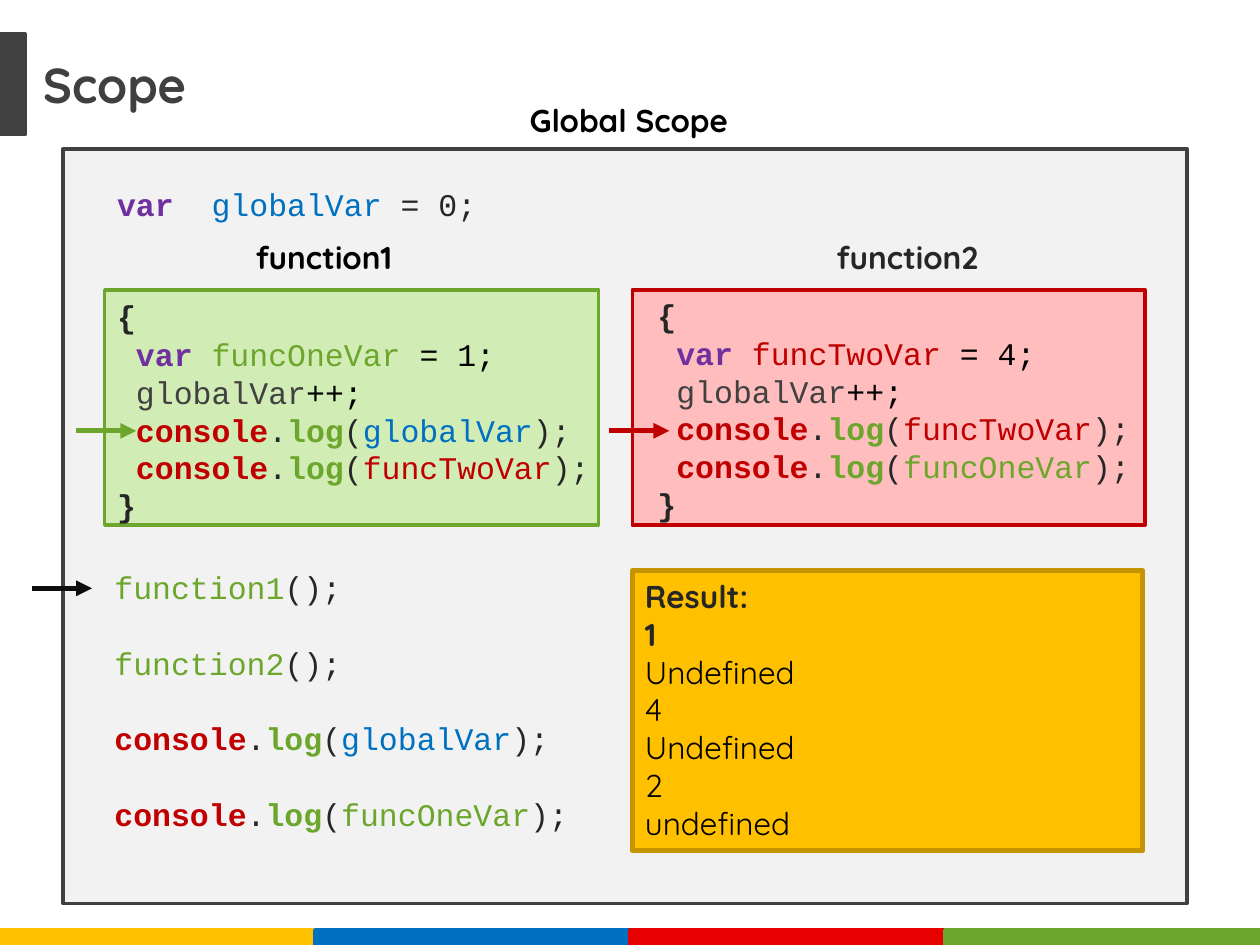
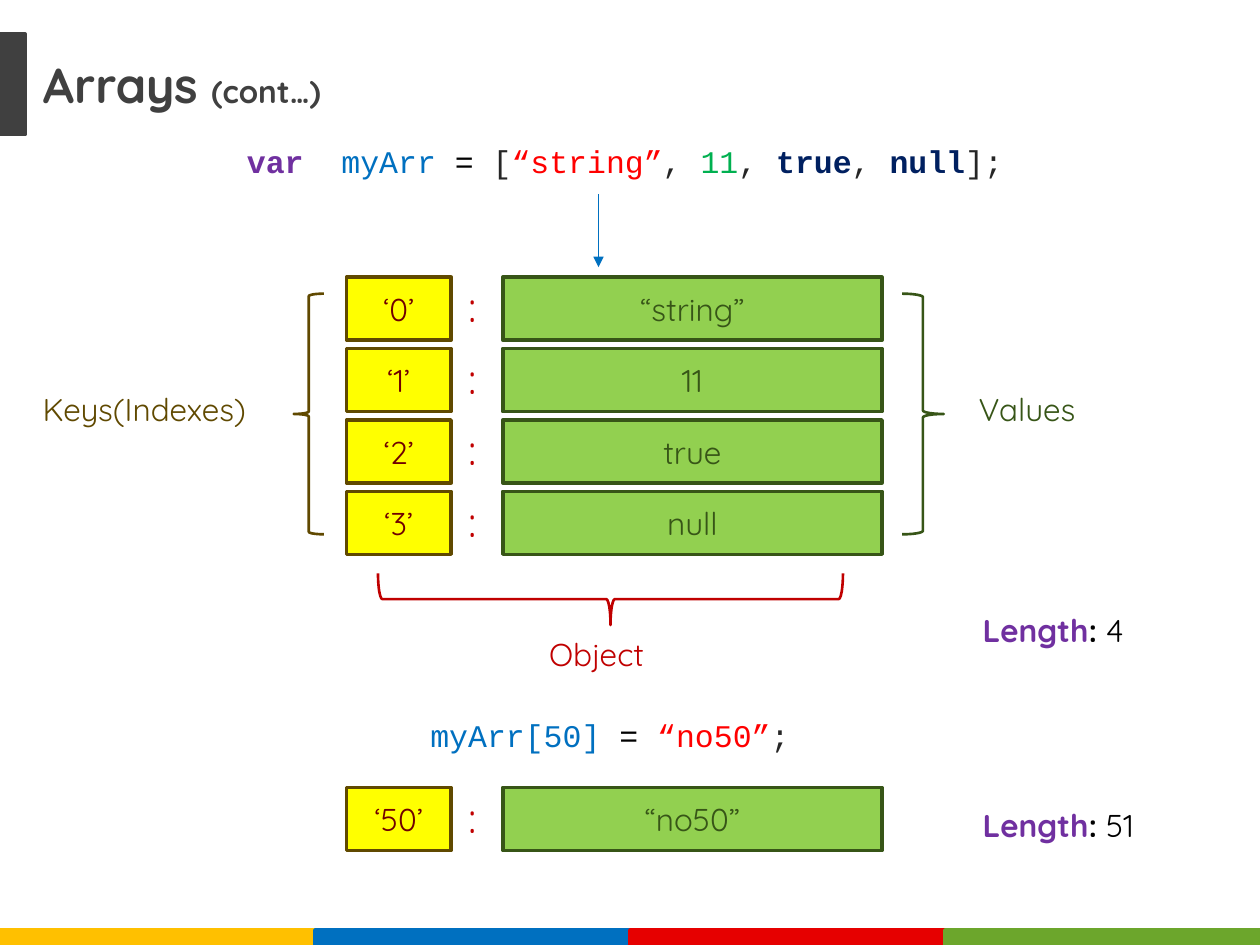
from lxml import etree
from pptx import Presentation
from pptx.dml.color import RGBColor
from pptx.enum.shapes import MSO_CONNECTOR, MSO_SHAPE
from pptx.enum.text import MSO_ANCHOR, PP_ALIGN
from pptx.oxml.ns import qn
from pptx.util import Pt

LEFT, CENTER = PP_ALIGN.LEFT, PP_ALIGN.CENTER
TOP, MIDDLE = MSO_ANCHOR.TOP, MSO_ANCHOR.MIDDLE
RECTANGLE = MSO_SHAPE.RECTANGLE
LEFT_BRACE, RIGHT_BRACE = MSO_SHAPE.LEFT_BRACE, MSO_SHAPE.RIGHT_BRACE
STRAIGHT = MSO_CONNECTOR.STRAIGHT

COLORS = {
    "black": "000000", "ink": "262626", "arrow": "0D0D0D", "gray": "404040",
    "panel": "F2F2F2", "gold": "FFC000", "dark gold": "C49500",
    "blue": "0070C0", "band red": "E60000", "green": "6CA62C",
    "pale green": "D2ECB6", "crimson": "C00000", "pink": "FFBDBD",
    "purple": "7030A0", "red": "FF0000", "emerald": "00B050",
    "navy": "002060", "yellow": "FFFF00", "brown": "604900",
    "maroon": "700000", "lime": "92D050", "forest": "375517",
}
BODY, CODE = "Quicksand", "Courier New"
BANDS = ["gold", "blue", "band red", "green"]
LINE_PITCH = 21.6


class Deck:
    def __init__(self):
        self.deck = Presentation()
        self.deck.slide_width, self.deck.slide_height = Pt(720), Pt(540)
        self.page = None

    def color(self, name):
        return RGBColor.from_string(COLORS[name])

    def new_page(self, *title):
        self.page = self.deck.slides.add_slide(self.deck.slide_layouts[5])
        box = self.page.shapes.title
        place = {"left": 17.3, "top": 27.4, "width": 280, "height": 41}
        for name, value in place.items():
            setattr(box, name, Pt(value))
        self.fill_text(box, [title], size=28)
        for index, name in enumerate(BANDS):
            self.shape((index * 180, 531.4, 180, 8.6), name, name)
        self.shape((0, 19.4, 14.4, 57.6), "gray", "gray")

    def fill_text(self, box, lines, font=BODY, size=18, align=LEFT,
                  anchor=TOP, pitch=None, gap=0):
        frame = box.text_frame
        frame.word_wrap = True
        frame.vertical_anchor = anchor
        for index, line in enumerate(lines):
            para = frame.paragraphs[0] if index == 0 else frame.add_paragraph()
            layout = {"alignment": align, "space_before": Pt(0),
                      "space_after": Pt(gap)}
            if pitch:
                layout["line_spacing"] = Pt(pitch)
            for name, value in layout.items():
                setattr(para, name, value)
            for text, color, bold, *own_size in line:
                span = para.add_run()
                span.text = text
                values = {"name": font, "bold": bold,
                          "size": Pt(own_size[0] if own_size else size)}
                for name, value in values.items():
                    setattr(span.font, name, value)
                span.font.color.rgb = self.color(color)

    def text(self, place, *lines, **style):
        box = self.page.shapes.add_textbox(*map(Pt, place))
        self.fill_text(box, lines, **style)

    def code(self, place, *lines, **style):
        self.text(place, *lines, font=CODE, pitch=LINE_PITCH, **style)

    def shape(self, place, fill, line, width=2, kind=RECTANGLE, turn=0):
        box = self.page.shapes.add_shape(kind, *map(Pt, place))
        box.shadow.inherit = False
        box.rotation = turn
        if fill:
            box.fill.solid()
            box.fill.fore_color.rgb = self.color(fill)
        else:
            box.fill.background()
        box.line.color.rgb = self.color(line)
        box.line.width = Pt(width)
        return box

    def brace(self, place, color, kind=RIGHT_BRACE, turn=0):
        self.shape(place, None, color, 1.5, kind, turn)

    def arrow(self, start, end, color, width=3):
        arrow = self.page.shapes.add_connector(STRAIGHT, *map(Pt, start + end))
        arrow.line.color.rgb = self.color(color)
        arrow.line.width = Pt(width)
        outline = arrow._element.spPr.find(qn("a:ln"))
        etree.SubElement(outline, qn("a:tailEnd")).set("type", "triangle")
        etree.SubElement(arrow._element.spPr, qn("a:effectLst"))

    def entry(self, top, key, value):
        cells = [(198, 59.8, key, "yellow", "brown", "maroon"),
                 (287.3, 216.7, value, "lime", "forest", "forest")]
        for left, width, label, fill, line, ink in cells:
            box = self.shape((left, top, width, 36), fill, line)
            self.fill_text(box, [[(label, ink, False)]], align=CENTER,
                           anchor=MIDDLE)
        self.text((260.6, top - 1.4, 20.9, 36), [(":", "crimson", False)],
                  size=24)


def log_call(name, color, indent=""):
    return [(indent + "console", "crimson", True), (".", "ink", False),
            ("log", "green", True), ("(", "ink", False),
            (name, color, False), (");", "ink", False)]


def function_body(name, color, value, logged):
    return [
        [("{", "ink", True)],
        [(" var ", "purple", True), (name, color, False),
         (f" = {value};", "black", False)],
        [(" globalVar", "gray", False), ("++;", "black", False)],
        *[log_call(*item, indent=" ") for item in logged],
        [("}", "ink", True)],
    ]


def build_scope(deck):
    deck.new_page(("Scope", "gray", True))
    deck.shape((36, 85, 642.2, 431.3), "panel", "gray")
    deck.shape((361.4, 165.6, 293, 134.6), "pink", "crimson")
    deck.shape((59.8, 165.6, 282.2, 134.6), "pale green", "green")
    deck.text((274.3, 54, 170, 28.8), [("Global Scope", "black", True)],
              align=CENTER)
    deck.text((470.9, 132.5, 105, 28.8), [("function2", "ink", True)])
    deck.text((139, 132.5, 105, 28.8), [("function1", "black", True)])
    deck.code((59.8, 102.2, 240, 28.8),
              [("var  ", "purple", True), ("globalVar", "blue", False),
               (" = 0;", "ink", False)])

    global_var = ("globalVar", "blue")
    one_var = ("funcOneVar", "green")
    two_var = ("funcTwoVar", "crimson")
    deck.code((59.8, 166.3, 296.6, 138.2),
              *function_body(*one_var, 1, [global_var, two_var]))
    deck.code((368.6, 165.6, 296.6, 138.2),
              *function_body(*two_var, 4, [two_var, one_var]))

    calls = [[(name, "green", False), ("();", "ink", False)]
             for name in ("function1", "function2")]
    deck.code((58.3, 321.1, 285, 160), *calls, log_call(*global_var),
              log_call(*one_var), gap=LINE_PITCH)

    result = deck.shape((361.4, 326.2, 291.6, 159.8), "gold", "dark gold", 3)
    heading = [[(text, "ink", True)] for text in ("Result:", "1")]
    output = [[(text, "black", False)] for text in
              ("Undefined", "4", "Undefined", "2", "undefined")]
    deck.fill_text(result, heading + output, pitch=LINE_PITCH)

    for left, top, color in [(18, 336.2, "arrow"), (43.2, 246.2, "green"),
                             (347.8, 246.2, "crimson")]:
        deck.arrow((left, top), (left + 34.6, top), color)


def build_arrays(deck):
    deck.new_page(("Arrays ", "gray", True), ("(cont…)", "gray", True, 18))
    deck.code((48.2, 77.8, 617.8, 28.8),
              [("var  ", "purple", True), ("myArr", "blue", False),
               (" = ", "black", False), ("[", "ink", False),
               ("“string”", "red", False), (", ", "ink", False),
               ("11", "emerald", False), (", ", "ink", False),
               ("true", "navy", True), (", ", "ink", False),
               ("null", "navy", True), ("];", "ink", False)], align=CENTER)
    deck.arrow((342, 110.9), (342, 152.6), "blue", 0.75)

    for index, value in enumerate(["“string”", "11", "true", "null"]):
        deck.entry(158.4 + index * 40.8, f"‘{index}’", value)
    deck.entry(450, "‘50’", "“no50”")

    deck.brace((515.5, 167.8, 23.8, 137.5), "forest")
    deck.brace((167.8, 167.8, 17.3, 137.5), "brown", LEFT_BRACE)
    deck.brace((334.1, 209.5, 29.5, 265.7), "crimson", turn=90)
    for left, top, width, label, color in [
            (17.3, 219.6, 138.2, "Keys(Indexes)", "brown"),
            (552.2, 219.6, 84.2, "Values", "forest"),
            (306.7, 359.3, 84.2, "Object", "crimson")]:
        deck.text((left, top, width, 28.8), [(label, color, False)])

    deck.code((39.6, 405.4, 617.8, 28.8),
              [("myArr[50]", "blue", False), (" = ", "black", False),
               ("“no50”", "red", False), (";", "ink", False)], align=CENTER)
    for top, length in [(345.6, "4"), (457.2, "51")]:
        deck.text((554.4, top, 118, 28.8),
                  [("Length", "purple", True), (": ", "black", True),
                   (length, "black", False)])


def main():
    deck = Deck()
    build_scope(deck)
    build_arrays(deck)
    deck.deck.save("out.pptx")


if __name__ == "__main__":
    main()
